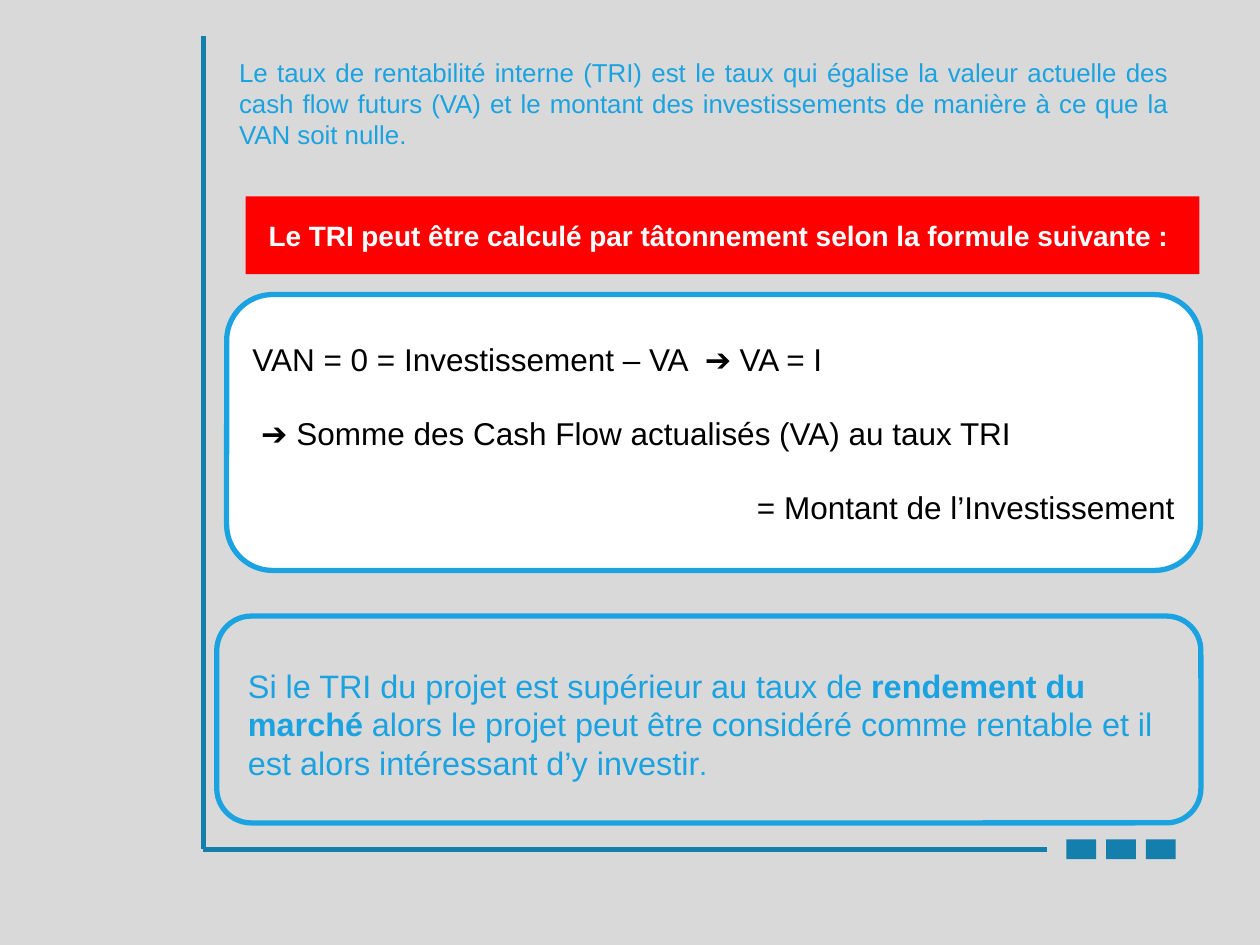
from lxml.etree import SubElement
from pptx import Presentation
from pptx.dml.color import RGBColor
from pptx.enum.shapes import MSO_CONNECTOR, MSO_SHAPE
from pptx.enum.text import MSO_ANCHOR, PP_ALIGN
from pptx.oxml.ns import qn
from pptx.util import Cm, Pt

HUES = {
    "back": "D9D9D9",
    "frame": "147EAD",
    "blue": "1AA3E0",
    "sky": "00B0F0",
    "red": "FF0000",
    "white": "FFFFFF",
    "black": "000000",
}


def tint(name):
    return RGBColor.from_string(HUES[name])


def write(frame, text, size=18, hue="black", bold=False, align=PP_ALIGN.LEFT,
          para=None, gap=0):
    frame.word_wrap = True
    frame.vertical_anchor = MSO_ANCHOR.MIDDLE
    para = para or frame.paragraphs[0]
    para.alignment = align
    para.space_before = Pt(gap)
    run = para.add_run()
    run.text = text
    font = run.font
    font.name, font.size, font.bold = "Arial", Pt(size), bold
    font.color.rgb = tint(hue)


def panel(slide, kind, box, fill, edge=None):
    shape = slide.shapes.add_shape(kind, *map(Cm, box))
    shape.shadow.inherit = False
    shape.fill.solid()
    shape.fill.fore_color.rgb = tint(fill)
    if edge:
        shape.line.color.rgb = tint(edge)
        shape.line.width = Pt(3)
    else:
        shape.line.fill.background()
    return shape


def rule(slide, *ends):
    line = slide.shapes.add_connector(MSO_CONNECTOR.STRAIGHT, *map(Cm, ends))
    line.line.color.rgb = tint("frame")
    line.line.width = Pt(3)
    SubElement(line._element.spPr, qn("a:effectLst"))


def border(slide, box):
    left, top, width, height = box
    base = top + height
    rule(slide, left, top, left, base)
    rule(slide, left, base, left + width, base)
    for i in range(3):
        spot = (left + width + 0.4 + 0.8 * i, base - 0.2, 0.6, 0.4)
        panel(slide, MSO_SHAPE.RECTANGLE, spot, "frame")


def intro(slide, box):
    frame = slide.shapes.add_textbox(*map(Cm, box)).text_frame
    write(frame, "Le taux de rentabilité interne (TRI) est le taux qui égalise "
          "la valeur actuelle des cash flow futurs (VA) et le montant des "
          "investissements de manière à ce que la VAN soit nulle.",
          size=14.8, hue="blue", align=PP_ALIGN.JUSTIFY)


def banner(slide, box):
    frame = panel(slide, MSO_SHAPE.RECTANGLE, box, "red").text_frame
    write(frame, "Le TRI peut être calculé par tâtonnement selon la formule "
          "suivante : ", size=16, hue="white", bold=True,
          align=PP_ALIGN.CENTER)


def verdict(slide, box):
    left, top, width, height = box
    panel(slide, MSO_SHAPE.ROUNDED_RECTANGLE, box, "back", "blue")
    inner = (left + 0.38, top + 0.79, width - 0.59, height - 1.4)
    frame = slide.shapes.add_textbox(*map(Cm, inner)).text_frame
    parts = [
        ("Si le TRI du projet est supérieur au taux de", False),
        (" rendement du marché", True),
        (" alors le projet peut être considéré comme rentable et il est "
         "alors intéressant d’y investir", False),
    ]
    for text, bold in parts:
        write(frame, text, size=18.5, hue="blue", bold=bold)
    write(frame, ".", size=16.6, hue="sky")


def formula(slide, box):
    shape = panel(slide, MSO_SHAPE.ROUNDED_RECTANGLE, box, "white", "blue")
    frame = shape.text_frame
    write(frame, "VAN = 0 = Investissement – VA  ➔ VA = I")
    write(frame, " ➔ Somme des Cash Flow actualisés (VA) au taux TRI",
          para=frame.add_paragraph(), gap=20.7)
    write(frame, "= Montant de l’Investissement", align=PP_ALIGN.RIGHT,
          para=frame.add_paragraph(), gap=20.7)


def main():
    deck = Presentation()
    deck.slide_width, deck.slide_height = Cm(25.4), Cm(19.05)
    slide = deck.slides.add_slide(deck.slide_layouts[6])
    slide.background.fill.solid()
    slide.background.fill.fore_color.rgb = tint("back")
    border(slide, (4.1, 0.72, 17, 16.4))
    intro(slide, (4.57, 0.99, 19.23, 2.18))
    banner(slide, (4.95, 3.96, 19.23, 1.57))
    verdict(slide, (4.37, 12.42, 19.84, 4.17))
    formula(slide, (4.57, 5.94, 19.63, 5.56))
    deck.save("out.pptx")


if __name__ == "__main__":
    main()
